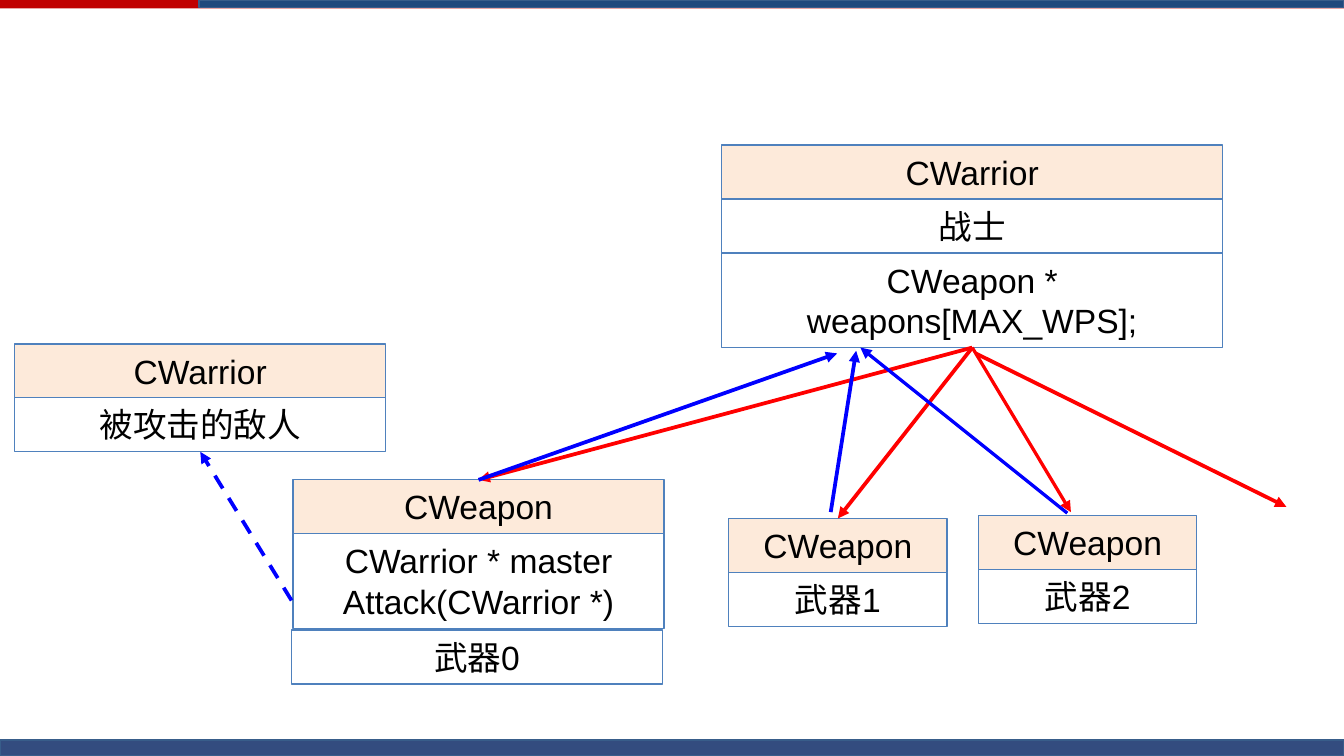
"""Build a slide showing how warrior and weapon objects point to each other."""
from lxml import etree
from pptx import Presentation
from pptx import util as u
from pptx.dml.color import RGBColor
from pptx.enum import dml, shapes, text
from pptx.oxml import ns

COLORS = {
    "red_bar": "C00000", "blue_bar": "1F497D", "footer": "002060", "bar_edge": "385D8A",
    "header": "FDEADA", "border": "4F81BD", "text": "000000",
    "owns": "FF0000", "refers": "0000FF",
}


def add_box(left, top, width, height, fill, edge, weight):
    box = page.shapes.add_shape(
        shapes.MSO_SHAPE.RECTANGLE, u.Cm(left), u.Cm(top), u.Cm(width), u.Cm(height))
    box.shadow.inherit = False
    for part, color in ((box.fill, fill), (box.line.fill, edge)):
        if color:
            part.solid()
            part.fore_color.rgb = RGBColor.from_string(COLORS[color])
        else:
            part.background()
    if edge:
        box.line.width = u.Pt(weight)
    return box


deck = Presentation()
deck.slide_width, deck.slide_height = u.Cm(25.4), u.Cm(14.29)
page = deck.slides.add_slide(deck.slide_layouts[6])

add_box(0, 0, 25.4, 0.16, "red_bar", None, 0)
add_box(3.76, 0, 21.64, 0.14, "blue_bar", "bar_edge", 0)
footer = add_box(0, 13.99, 25.4, 0.3, "footer", "bar_edge", 0)
footer_color = footer.fill._xPr.find(ns.qn("a:solidFill"))[0]
etree.SubElement(footer_color, ns.qn("a:alpha"), val="80000")

stacks = {
    "weapon0": (5.54, 9.07, 7.01, ["CWeapon", "CWarrior * master\nAttack(CWarrior *)"]),
    "enemy": (0.28, 6.5, 7.01, ["CWarrior", "被攻击的敌人"]),
    "warrior": (13.64, 2.74, 9.47, ["CWarrior", "战士", "CWeapon * weapons[MAX_WPS];"]),
    "weapon1": (13.77, 9.8, 4.13, ["CWeapon", "武器1"]),
    "weapon2": (18.49, 9.75, 4.13, ["CWeapon", "武器2"]),
    "weapon0_name": (5.51, 11.91, 7.01, ["武器0"]),
}
boxes = {}
for name, (left, top, width, rows) in stacks.items():
    boxes[name] = []
    for words in rows:
        height = 1.79 if " *" in words else 1.02
        fill = "header" if words.startswith("C") and " " not in words else None
        box = add_box(left, top, width, height, fill, "border", 0.75)
        frame = box.text_frame
        frame.word_wrap = True
        frame.auto_size = text.MSO_AUTO_SIZE.SHAPE_TO_FIT_TEXT
        frame.vertical_anchor = text.MSO_ANCHOR.TOP
        frame.text = words
        for para in frame.paragraphs:
            para.alignment = text.PP_ALIGN.CENTER
            para.font.name, para.font.size = "Arial", u.Pt(18)
            para.font.color.rgb = RGBColor.from_string(COLORS["text"])
        boxes[name].append(box)
        top += height

weapons_side = (boxes["warrior"][-1], 2)
weapon0_side = (boxes["weapon0"][0], 0)
weapon1_side = (boxes["weapon1"][0], 0)
enemy_side = (boxes["enemy"][-1], 2)
arrows = [
    ("owns", 2, (18.38, 6.57), (9.04, 9.07), weapons_side, weapon0_side),
    ("refers", 2, (9.04, 9.07), (15.82, 6.68), weapon0_side, None),
    ("owns", 2, (18.38, 6.57), (15.83, 9.8), weapons_side, weapon1_side),
    ("owns", 1.75, (18.38, 6.57), (20.24, 9.68), weapons_side, None),
    ("owns", 2, (18.44, 6.68), (24.31, 9.58), None, None),
    ("refers", 1.75, (20.17, 9.7), (16.26, 6.57), None, weapons_side[:0] or None),
    ("refers", 2, (15.7, 9.68), (16.18, 6.63), None, None),
    ("refers", 2, (5.51, 11.35), (3.78, 8.55), None, enemy_side),
]
for color, weight, start, end, start_side, end_side in arrows:
    arrow = page.shapes.add_connector(
        shapes.MSO_CONNECTOR.STRAIGHT, *[u.Cm(value) for value in start + end])
    if start_side:
        arrow.begin_connect(*start_side)
    if end_side:
        arrow.end_connect(*end_side)
    arrow.line.color.rgb = RGBColor.from_string(COLORS[color])
    arrow.line.width = u.Pt(weight)
    if end_side == enemy_side:
        arrow.line.dash_style = dml.MSO_LINE.DASH
    outline = arrow.line._get_or_add_ln()
    etree.SubElement(outline, ns.qn("a:tailEnd"), type="triangle")
    etree.SubElement(outline.getparent(), ns.qn("a:effectLst"))

deck.save("out.pptx")
